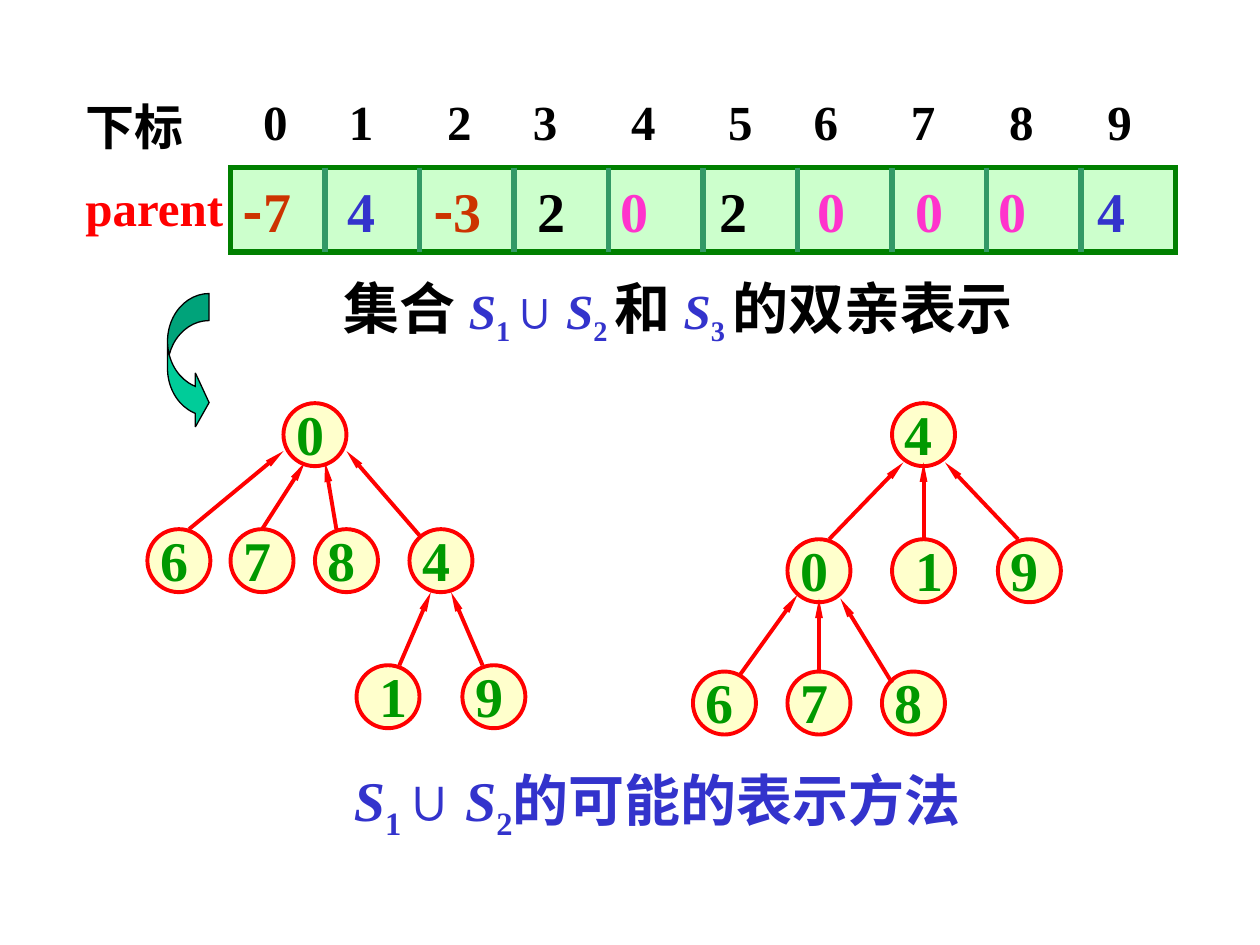
from dataclasses import dataclass

from lxml.etree import SubElement
from pptx import Presentation
from pptx.dml.color import RGBColor
from pptx.enum.shapes import MSO_CONNECTOR, MSO_SHAPE
from pptx.enum.text import MSO_ANCHOR, MSO_AUTO_SIZE, PP_ALIGN
from pptx.oxml.ns import qn
from pptx.util import Inches, Pt

BLACK = RGBColor(0x00, 0x00, 0x00)
RED = RGBColor(0xFF, 0x00, 0x00)
BLUE = RGBColor(0x33, 0x33, 0xCC)
RUST = RGBColor(0xCC, 0x33, 0x00)
PINK = RGBColor(0xFF, 0x33, 0xCC)
DIGIT_GREEN = RGBColor(0x00, 0x99, 0x00)
FRAME_GREEN = RGBColor(0x00, 0x80, 0x00)
DIVIDER_GREEN = RGBColor(0x33, 0x99, 0x66)
CELL_GREEN = RGBColor(0xCC, 0xFF, 0xCC)
TURN_GREEN = RGBColor(0x00, 0xCC, 0x99)
CREAM = RGBColor(0xFF, 0xFF, 0xCC)

SERIF = "Times New Roman"
SANS = "Arial"
CJK = "Noto Sans CJK SC"
NODE_SIZE = 0.5
ARRAY_LEFT, ARRAY_TOP, CELL_WIDTH, CELL_HEIGHT, CELL_COUNT = 1.83, 1.33, 0.75, 0.67, 10


@dataclass(frozen=True)
class Span:
    text: str
    size: float = 28
    color: RGBColor = BLACK
    face: str = SERIF
    italic: bool = False
    subscript: bool = False


@dataclass(frozen=True)
class Node:
    digit: str
    left: float
    top: float
    indent: float = 0.03


@dataclass(frozen=True)
class Edge:
    child_x: float
    child_y: float
    parent_x: float
    parent_y: float


def set_name(index: str, size: float, gap: str = " ") -> list[Span]:
    return [Span("S", size, BLUE, italic=True),
            Span(index + gap, size, BLUE, subscript=True)]


def union_name(size: float, gap: str) -> list[Span]:
    return [*set_name("1", size), Span("∪ ", size, BLUE, SANS), *set_name("2", size, gap)]


def write(paragraph, spans: list[Span], tabs: tuple[float, ...] = ()) -> None:
    paragraph.alignment = PP_ALIGN.LEFT
    if tabs:
        tab_list = SubElement(paragraph._p.get_or_add_pPr(), qn("a:tabLst"))
        for stop in tabs:
            SubElement(tab_list, qn("a:tab"), pos=str(Inches(stop)), algn="l")
    paragraph.font.bold = True
    for attribute, font_attribute in (("size", "size"), ("face", "name"), ("italic", "italic")):
        values = {getattr(span, attribute) for span in spans}
        if len(values) == 1:
            value = values.pop()
            setattr(paragraph.font, font_attribute, Pt(value) if attribute == "size" else value)
    colors = {span.color for span in spans}
    if len(colors) == 1:
        paragraph.font.color.rgb = colors.pop()
    for span in spans:
        run = paragraph.add_run()
        run.text = span.text
        run.font.size = Pt(span.size)
        run.font.bold = True
        run.font.italic = span.italic
        run.font.name = span.face
        run.font.color.rgb = span.color
        properties = run._r.get_or_add_rPr()
        SubElement(properties, qn("a:ea"), typeface=CJK)
        if span.subscript:
            properties.set("baseline", "-25000")


def place(box, left: float, top: float, width: float, height: float):
    box.left, box.top = Inches(left), Inches(top)
    box.width, box.height = Inches(width), Inches(height)
    frame = box.text_frame
    frame.word_wrap = True
    frame.auto_size = MSO_AUTO_SIZE.NONE
    frame.vertical_anchor = MSO_ANCHOR.TOP
    return frame


def add_text(slide, left: float, top: float, width: float, height: float):
    return place(slide.shapes.add_textbox(0, 0, 0, 0), left, top, width, height)


def add_outline(slide, kind, left: float, top: float, width: float, height: float,
                fill: RGBColor, line: RGBColor, weight: float):
    outline = slide.shapes.add_shape(kind, Inches(left), Inches(top),
                                     Inches(width), Inches(height))
    outline.shadow.inherit = False
    outline.fill.solid()
    outline.fill.fore_color.rgb = fill
    outline.line.color.rgb = line
    outline.line.width = Pt(weight)
    SubElement(outline.line._get_or_add_ln(), qn("a:miter"), lim="800000")
    return outline


def add_line(slide, x1: float, y1: float, x2: float, y2: float,
             color: RGBColor, weight: float, arrow: bool = False):
    line = slide.shapes.add_connector(MSO_CONNECTOR.STRAIGHT, Inches(x1), Inches(y1),
                                      Inches(x2), Inches(y2))
    line.line.color.rgb = color
    line.line.width = Pt(weight)
    if arrow:
        SubElement(line.line._get_or_add_ln(), qn("a:tailEnd"),
                   type="triangle", w="sm", len="lg")
    SubElement(line._element.spPr, qn("a:effectLst"))
    return line


def add_node(slide, node: Node) -> None:
    circle = add_outline(slide, MSO_SHAPE.OVAL, node.left, node.top,
                         NODE_SIZE, NODE_SIZE, CREAM, RED, 2.25)
    frame = circle.text_frame
    frame.word_wrap = True
    frame.vertical_anchor = MSO_ANCHOR.MIDDLE
    frame.margin_left = Inches(node.indent)
    frame.margin_right = frame.margin_top = 0
    frame.margin_bottom = Inches(0.03)
    write(frame.paragraphs[0], [Span(node.digit, 32, DIGIT_GREEN)])


def add_array(slide) -> None:
    array = add_outline(slide, MSO_SHAPE.RECTANGLE, ARRAY_LEFT, ARRAY_TOP,
                        CELL_COUNT * CELL_WIDTH, CELL_HEIGHT, CELL_GREEN, FRAME_GREEN, 3)
    frame = array.text_frame
    frame.vertical_anchor = MSO_ANCHOR.MIDDLE
    frame.word_wrap = True
    write(frame.paragraphs[0], PARENT_VALUES, PARENT_TABS)
    for cell in range(1, CELL_COUNT):
        x = ARRAY_LEFT + cell * CELL_WIDTH
        divider = add_line(slide, x, ARRAY_TOP, x, ARRAY_TOP + CELL_HEIGHT, DIVIDER_GREEN, 3)
        if cell * 2 == CELL_COUNT:
            divider.begin_connect(array, 0)
            divider.end_connect(array, 2)


INDEX_TABS = (0.68, 1.46, 2.14, 2.92, 3.69, 4.37, 5.14, 5.92, 6.7)
PARENT_TABS = (0.83, 1.51, 2.34, 3, 3.78, 4.56, 5.34, 6, 6.78)
PARENT_VALUES = [
    Span("-", 32, RUST, CJK), Span("7\t", 32, RUST), Span("4\t", 32, BLUE),
    Span("-", 32, RUST, CJK), Span("3\t", 32, RUST), Span("2\t", 32),
    Span("0\t", 32, PINK), Span("2\t", 32), Span("0\t0\t0\t", 32, PINK), Span("4", 32, BLUE),
]
NODES = [
    Node("0", 2.25, 3.2), Node("6", 1.17, 4.2), Node("7", 1.83, 4.2), Node("8", 2.5, 4.2),
    Node("4", 3.25, 4.2), Node("1", 2.83, 5.28, 0.11), Node("9", 3.67, 5.28),
    Node("4", 7.08, 3.2), Node("0", 6.25, 4.28), Node("1", 7.08, 4.28, 0.11),
    Node("9", 7.92, 4.28), Node("6", 5.5, 5.33), Node("7", 6.25, 5.33), Node("8", 7, 5.33),
]
EDGES = [
    Edge(1.5, 4.2, 2.25, 3.58), Edge(2.08, 4.2, 2.42, 3.67), Edge(2.67, 4.2, 2.58, 3.67),
    Edge(3.33, 4.25, 2.75, 3.58), Edge(3.17, 5.28, 3.42, 4.7), Edge(3.83, 5.28, 3.58, 4.7),
    Edge(6.58, 4.28, 7.17, 3.67), Edge(7.33, 4.28, 7.33, 3.67), Edge(8.08, 4.28, 7.5, 3.67),
    Edge(5.87, 5.36, 6.33, 4.72), Edge(6.5, 5.33, 6.5, 4.75), Edge(7.08, 5.42, 6.67, 4.75),
]


def main() -> None:
    presentation = Presentation()
    presentation.slide_width, presentation.slide_height = Inches(10), Inches(7.5)
    slide = presentation.slides.add_slide(presentation.slide_layouts[5])

    heading = place(slide.shapes.title, 2.63, 2.12, 5.79, 1.22)
    write(heading.paragraphs[0], [Span("集合 ", 32), *union_name(28, " "), Span("和 ", 32),
                                  *set_name("3", 28), Span("的双亲表示", 32)])

    row_labels = add_text(slide, 0.58, 0.72, 1.75, 1.21)
    write(row_labels.paragraphs[0], [Span("下标")])
    parent_label = row_labels.add_paragraph()
    parent_label.space_before = Pt(12.2)
    write(parent_label, [Span("parent", color=RED)])

    indices = add_text(slide, 1.99, 0.68, 7.4, 0.57)
    write(indices.paragraphs[0], [Span("\t".join(map(str, range(CELL_COUNT))))], INDEX_TABS)
    add_array(slide)

    for node in NODES:
        add_node(slide, node)
    for edge in EDGES:
        add_line(slide, edge.child_x, edge.child_y, edge.parent_x, edge.parent_y,
                 RED, 2.25, arrow=True)

    turn = add_outline(slide, MSO_SHAPE.CURVED_RIGHT_ARROW, 1.33, 2.33, 0.33, 1.08,
                       TURN_GREEN, BLACK, 0.75)
    turn.adjustments[0], turn.adjustments[1], turn.adjustments[2] = 0.65, 1.3, 0.33

    caption = add_text(slide, 2.71, 6.03, 5.29, 0.71)
    write(caption.paragraphs[0], [*union_name(32, ""), Span("的可能的表示方法", 32, BLUE)])

    presentation.save("out.pptx")


if __name__ == "__main__":
    main()
